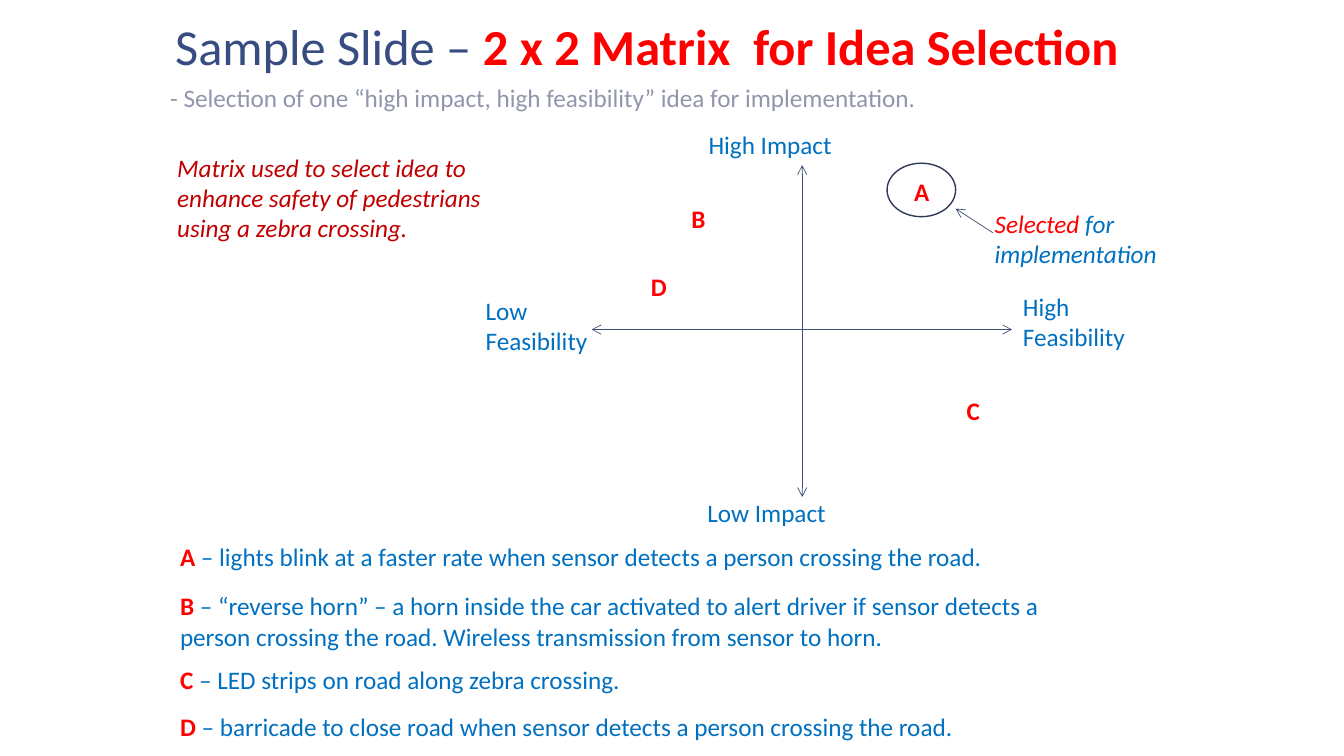
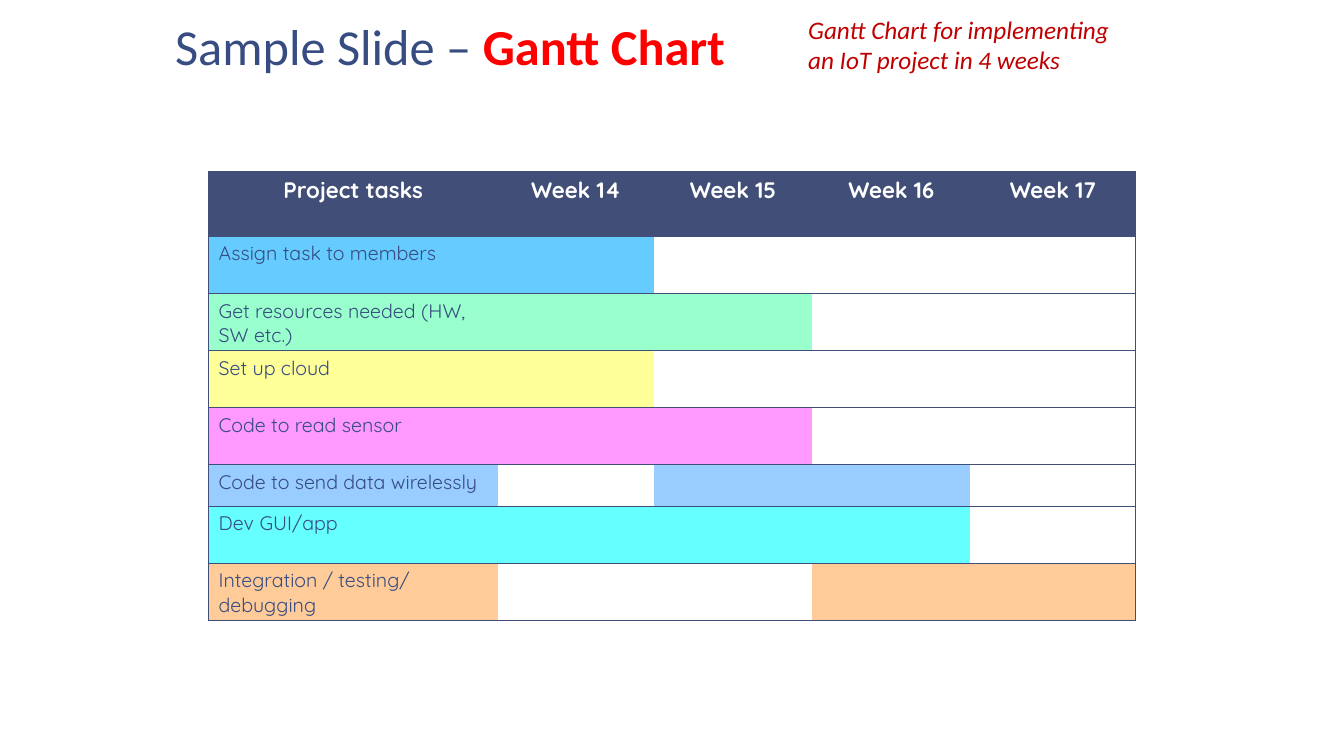
from dataclasses import dataclass

from lxml.etree import SubElement
from pptx import Presentation
from pptx.dml.color import RGBColor
from pptx.enum.shapes import MSO_CONNECTOR, MSO_SHAPE
from pptx.enum.text import MSO_ANCHOR, PP_ALIGN
from pptx.oxml.ns import qn
from pptx.util import Pt


@dataclass(frozen=True)
class Theme:
    text_font: str = "Calibri"
    table_font: str = "Quicksand"
    title_size: int = 36
    body_size: int = 18
    header_size: int = 16
    task_size: int = 14
    navy: str = "374C81"
    rule: str = "414E77"
    ring: str = "303A58"
    muted: str = "9196AC"
    accent: str = "FF0000"
    remark: str = "C00000"
    body: str = "0070C0"
    white: str = "FFFFFF"
    hairline: float = 0.5


THEME = Theme()

IDEAS = [
    ("A", 383, 29, " – lights blink at a faster rate when sensor detects a person crossing the road."),
    ("B", 418.3, 51, " – “reverse horn” – a horn inside the car activated to alert driver if sensor "
     "detects a person crossing the road. Wireless transmission from sensor to horn."),
    ("C", 470.9, 29, " – LED strips on road along zebra crossing."),
    ("D", 504.7, 29, " – barricade to close road when sensor detects a person crossing the road."),
]
IDEA_SPOTS = [("A", 645.8, 122.4), ("B", 486.7, 141.8), ("C", 683.3, 278.6), ("D", 457.9, 190)]
AXIS_LABELS = [
    ("High Impact", 499, 88.6, 147.6, 29),
    ("Low Impact", 498.2, 352, 147.6, 29),
    ("High Feasibility", 723.6, 204.5, 116, 51),
    ("Low Feasibility", 339.8, 207.4, 116, 51),
]

GANTT_HEADER = ["Project tasks", "Week 14", "Week 15", "Week 16", "Week 17"]
GANTT_TASKS = [
    ("Assign task to members", "66CCFF", {14}),
    ("Get resources needed (HW, SW etc.)", "99FFCC", {14, 15}),
    ("Set up cloud", "FFFF99", {14}),
    ("Code to read sensor", "FF99FF", {14, 15}),
    ("Code to send data wirelessly", "99CCFF", {15, 16}),
    ("Dev GUI/app", "66FFFF", {14, 15, 16}),
    ("Integration / testing/ debugging", "FFCC99", {16, 17}),
]
FIRST_WEEK = 14
COLUMN_WIDTHS = [206.6, 111.6, 113, 113, 118]
ROW_HEIGHTS = [46.4, 40.8, 40.8, 40.8, 40.8, 29.4, 40.8, 40.8]


def add_run(paragraph, text, colour, size=THEME.body_size, font=THEME.text_font,
            bold=False, italic=False):
    run = paragraph.add_run()
    run.text = text
    run.font.name = font
    run.font.size = Pt(size)
    run.font.bold = bold
    run.font.italic = italic
    run.font.color.rgb = RGBColor.from_string(colour)


def add_text(slide, left, top, width, height, wrap=True, anchor=MSO_ANCHOR.TOP):
    frame = slide.shapes.add_textbox(Pt(left), Pt(top), Pt(width), Pt(height)).text_frame
    frame.word_wrap = wrap
    frame.vertical_anchor = anchor
    return frame.paragraphs[0]


def add_title(slide, topic, width):
    title = add_text(slide, 118, 3.6, width, 57, anchor=MSO_ANCHOR.MIDDLE)
    add_run(title, "Sample Slide – ", THEME.navy, THEME.title_size)
    add_run(title, topic, THEME.accent, THEME.title_size, bold=True)


def add_remark(slide, text, left, top, height):
    remark = add_text(slide, left, top, 244, height)
    add_run(remark, text, THEME.remark, italic=True)


def add_arrow(slide, start, end, both_ends=False):
    arrow = slide.shapes.add_connector(
        MSO_CONNECTOR.STRAIGHT, Pt(start[0]), Pt(start[1]), Pt(end[0]), Pt(end[1]))
    arrow.line.width = Pt(THEME.hairline)
    arrow.line.color.rgb = RGBColor.from_string(THEME.rule)
    properties = arrow.element.spPr
    outline = properties.find(qn("a:ln"))
    if both_ends:
        SubElement(outline, qn("a:headEnd"), type="arrow")
    SubElement(outline, qn("a:tailEnd"), type="arrow")
    SubElement(properties, qn("a:effectLst"))


def add_ring(slide, left, top, width, height):
    ring = slide.shapes.add_shape(MSO_SHAPE.OVAL, Pt(left), Pt(top), Pt(width), Pt(height))
    ring.shadow.inherit = False
    ring.fill.background()
    ring.line.width = Pt(1)
    ring.line.color.rgb = RGBColor.from_string(THEME.ring)


def set_borders(cell, ruled_sides):
    properties = cell._tc.get_or_add_tcPr()
    for side in "LRTB":
        border = SubElement(properties, qn(f"a:ln{side}"), w=str(Pt(THEME.hairline)))
        if side in ruled_sides:
            fill = SubElement(border, qn("a:solidFill"))
            SubElement(fill, qn("a:srgbClr"), val=THEME.rule)
        else:
            SubElement(border, qn("a:noFill"))


def style_cell(cell, fill, ruled_sides):
    set_borders(cell, ruled_sides)
    cell.fill.solid()
    cell.fill.fore_color.rgb = RGBColor.from_string(fill)
    cell.margin_top = Pt(3.6)
    cell.margin_bottom = Pt(2)


def add_gantt(slide, left, top):
    gantt = slide.shapes.add_table(
        len(ROW_HEIGHTS), len(COLUMN_WIDTHS), Pt(left), Pt(top),
        Pt(sum(COLUMN_WIDTHS)), Pt(sum(ROW_HEIGHTS))).table
    gantt.horz_banding = False
    for column, width in zip(gantt.columns, COLUMN_WIDTHS):
        column.width = Pt(width)
    for row, height in zip(gantt.rows, ROW_HEIGHTS):
        row.height = Pt(height)

    last = len(COLUMN_WIDTHS) - 1
    sides = ["TB" + "L" * (index == 0) + "R" * (index == last) for index in range(last + 1)]
    for index, heading in enumerate(GANTT_HEADER):
        cell = gantt.cell(0, index)
        style_cell(cell, THEME.rule, sides[index])
        paragraph = cell.text_frame.paragraphs[0]
        paragraph.alignment = PP_ALIGN.CENTER
        add_run(paragraph, heading, THEME.white, THEME.header_size, THEME.table_font, bold=True)

    for row, (task, colour, weeks) in enumerate(GANTT_TASKS, start=1):
        for index in range(last + 1):
            active = index == 0 or FIRST_WEEK + index - 1 in weeks
            style_cell(gantt.cell(row, index), colour if active else THEME.white, sides[index])
        add_run(gantt.cell(row, 0).text_frame.paragraphs[0], task, THEME.navy,
                THEME.task_size, THEME.table_font)


def add_matrix(slide):
    add_arrow(slide, (573, 118), (573, 355), both_ends=True)
    add_arrow(slide, (422.6, 235.4), (722.9, 235.4), both_ends=True)
    for label, *box in AXIS_LABELS:
        add_run(add_text(slide, *box), label, THEME.body)
    for letter, left, top in IDEA_SPOTS:
        add_run(add_text(slide, left, top, 25.2, 29, wrap=False), letter, THEME.accent, bold=True)
    add_ring(slide, 633.6, 116.6, 49, 38.2)
    selection = add_text(slide, 703.4, 145.4, 141.8, 51)
    add_run(selection, "Selected ", THEME.accent, italic=True)
    add_run(selection, "for implementation", THEME.body, italic=True)
    add_arrow(slide, (709.2, 166.3), (682.6, 149))


def build_matrix_slide(slide):
    add_title(slide, "2 x 2 Matrix  for Idea Selection", 691)
    subtitle = add_text(slide, 114.5, 55.5, 557, 47.5)
    add_run(subtitle, "- Selection of one “high impact, high feasibility” idea for implementation.",
            THEME.muted)
    add_remark(slide, "Matrix used to select idea to enhance safety of pedestrians "
               "using a zebra crossing.", 119.5, 105, 73)
    for letter, top, height, description in IDEAS:
        idea = add_text(slide, 121.5, top, 682, height)
        add_run(idea, letter, THEME.accent, bold=True)
        add_run(idea, description, THEME.body)
    add_matrix(slide)


def build_gantt_slide(slide):
    add_title(slide, "Gantt Chart", 424)
    add_remark(slide, "Gantt Chart for implementing an IoT project in 4 weeks", 570.2, 6.5, 51)
    add_gantt(slide, 149, 122.4)


def main():
    deck = Presentation()
    deck.slide_width = Pt(960)
    deck.slide_height = Pt(540)
    blank = deck.slide_layouts[6]
    for build in (build_matrix_slide, build_gantt_slide):
        build(deck.slides.add_slide(blank))
    deck.save("out.pptx")


if __name__ == "__main__":
    main()
